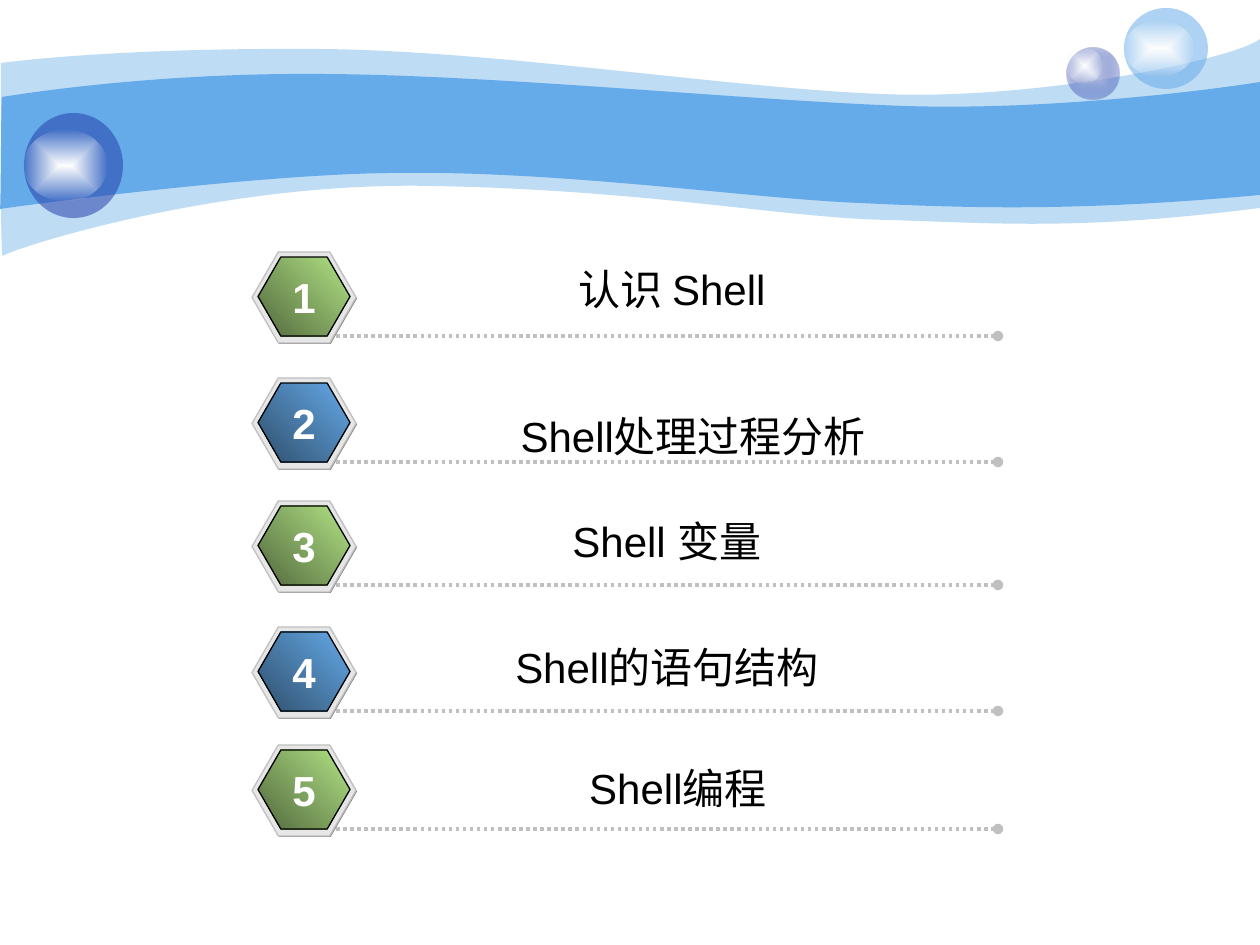
import pptx
import pptx.util
import pptx.dml.color
import pptx.enum.dml
import pptx.enum.shapes
import pptx.enum.text
import pptx.oxml
import pptx.oxml.ns

RGBColor = pptx.dml.color.RGBColor
SHAPE = pptx.enum.shapes.MSO_SHAPE
qn = pptx.oxml.ns.qn

PX = 914400 / 126
SKY = RGBColor(0x65, 0xAA, 0xE9)
NAVY = RGBColor(0x23, 0x3D, 0xA9)
LAVENDER = RGBColor(0xC7, 0xCE, 0xE9)
GREEN = RGBColor(0xB2, 0xE3, 0x85)
DARK_GREEN = RGBColor(0x52, 0x69, 0x3E)
DARK_BLUE = RGBColor(0x2F, 0x4F, 0x6C)
WHITE = RGBColor(0xFF, 0xFF, 0xFF)
BLACK = RGBColor(0, 0, 0)
SHADE = RGBColor(0x80, 0x80, 0x80)
RIM = RGBColor(0xE6, 0xE6, 0xE6)
SILVER = RGBColor(0xC0, 0xC0, 0xC0)

RADIAL = ('<a:path path="rect"><a:fillToRect l="50000" t="50000" '
          'r="50000" b="50000"/></a:path>')
DIAGONAL = '<a:lin ang="8100000" scaled="0"/>'

# Each wave: a start point, then curves (three points) and lines (one point)
LIGHT_WAVE = [
    [(1, 63)],
    [(32, 59), (136, 48), (311, 49)],
    [(486, 49), (726, 88), (881, 94)],
    [(1036, 101), (1235, 59), (1260, 39)],
    [(1260, 208)],
    [(1079, 231), (993, 223), (888, 220)],
    [(784, 218), (649, 190), (433, 186)],
    [(216, 181), (6, 251), (3, 256)],
    [(0, 262), (1, 94), (1, 63)],
]
DARK_WAVE = [
    [(2, 97)],
    [(4, 97), (140, 73), (314, 74)],
    [(488, 74), (752, 101), (905, 106)],
    [(1060, 111), (1230, 87), (1260, 82)],
    [(1260, 195)],
    [(1075, 212), (965, 208), (859, 203)],
    [(755, 199), (564, 171), (401, 173)],
    [(257, 173), (-1, 209), (0, 209)],
    [(1, 209), (1, 97), (2, 97)],
]

# Row top, title left, title drop below the row top, title
ROWS = [
    (252, 368, 5, "认识 Shell "),
    (378, 388, 26, "Shell处理过程分析 "),
    (501, 357, 8, "Shell 变量"),
    (627, 357, 8, "Shell的语句结构"),
    (745, 368, 11, "Shell编程"),
]


def emu(*lengths):
    return [pptx.util.Emu(round(length * PX)) for length in lengths]


def drawing_xml(tag, attributes="", content=""):
    return pptx.oxml.parse_xml(
        f'<a:{tag} xmlns:a="{pptx.oxml.ns.nsuri("a")}" {attributes}>{content}</a:{tag}>')


def paint(shape, color, alpha=100):
    shape.shadow.inherit = False
    shape.line.fill.background()
    shape.fill.solid()
    shape.fill.fore_color.rgb = color
    if alpha < 100:
        tint = shape.element.spPr.find(qn("a:solidFill"))[0]
        tint.append(drawing_xml("alpha", f'val="{alpha * 1000}"'))


def paint_gradient(shape, inner, outer, outer_alpha, direction):
    paint(shape, inner)
    properties = shape.element.spPr
    stops = (f'<a:gsLst><a:gs pos="0"><a:srgbClr val="{inner}"/></a:gs>'
             f'<a:gs pos="100000"><a:srgbClr val="{outer}">'
             f'<a:alpha val="{outer_alpha * 1000}"/></a:srgbClr></a:gs></a:gsLst>')
    properties.replace(properties.find(qn("a:solidFill")),
                       drawing_xml("gradFill", 'rotWithShape="1"', stops + direction))


def outline(shape, color):
    shape.line.color.rgb = color
    shape.line.width = pptx.util.Pt(0.75)


def add_wave(page, segments, color, alpha=100):
    """Lay every point as a line, then join each group of three into a curve."""
    builder = page.shapes.build_freeform(*emu(*segments[0][0]), scale=1.0)
    builder.add_line_segments(
        [emu(*point) for segment in segments[1:] for point in segment], close=True)
    wave = builder.convert_to_shape()
    lines = iter(list(wave.element.iter(qn("a:lnTo"))))
    for segment in segments[1:]:
        group = [next(lines) for _ in segment]
        if len(group) == 3:
            curve = drawing_xml("cubicBezTo")
            group[0].addprevious(curve)
            for line in group:
                curve.append(line[0])
                line.getparent().remove(line)
    paint(wave, color, alpha)


def add_sphere(page, ball_box, glow_box, color, alpha, edge=None):
    ball = page.shapes.add_shape(SHAPE.OVAL, *emu(*ball_box))
    if edge:
        paint_gradient(ball, color, edge, alpha, RADIAL)
    else:
        paint(ball, color, alpha)
    glow = page.shapes.add_shape(SHAPE.OVAL, *emu(*glow_box))
    paint_gradient(glow, WHITE, WHITE, 0, RADIAL)


def add_hexagon(page, *box):
    hexagon = page.shapes.add_shape(SHAPE.HEXAGON, *emu(*box))
    hexagon.adjustments[0] = 0.289
    hexagon.adjustments[1] = 1.155
    return hexagon


def add_badge(page, left, top, light, dark):
    paint(add_hexagon(page, left + 1, top + 1, 104, 91), SHADE)
    rim = add_hexagon(page, left, top, 104, 91)
    paint(rim, RIM)
    outline(rim, SILVER)
    face = add_hexagon(page, left + 6, top + 5, 92, 79)
    paint_gradient(face, light, dark, 100, DIAGONAL)
    outline(face, BLACK)


def add_label(page, box, text, color, bold=False, wrap=True):
    frame = page.shapes.add_textbox(*emu(*box)).text_frame
    frame.word_wrap = wrap
    frame.auto_size = pptx.enum.text.MSO_AUTO_SIZE.SHAPE_TO_FIT_TEXT
    para = frame.paragraphs[0]
    para.alignment = pptx.enum.text.PP_ALIGN.CENTER
    span = para.add_run()
    span.text = text
    span.font.name = "Arial"
    span.font.size = pptx.util.Pt(24)
    span.font.bold = bold
    span.font.color.rgb = color


def add_dotted_rule(page, left, top, width):
    rule = page.shapes.add_connector(pptx.enum.shapes.MSO_CONNECTOR.STRAIGHT,
                                     *emu(left, top, left + width, top))
    rule.line.color.rgb = SILVER
    rule.line.width = pptx.util.Pt(2)
    rule.line.dash_style = pptx.enum.dml.MSO_LINE.ROUND_DOT
    properties = rule.element.spPr
    properties.find(qn("a:ln")).append(drawing_xml("tailEnd", 'type="oval"'))
    properties.append(drawing_xml("effectLst"))


def add_banner(page):
    add_wave(page, LIGHT_WAVE, SKY, 41)
    add_wave(page, DARK_WAVE, SKY)
    add_sphere(page, (1067, 48, 53, 51), (1067, 48, 36, 35), LAVENDER, 31, NAVY)
    add_sphere(page, (1124, 8, 84, 81), (1124, 21, 70, 55), SKY, 53)
    add_sphere(page, (24, 113, 99, 105), (24, 130, 83, 71), NAVY, 53)


def add_row(page, left, top, number, title_left, title_drop, title):
    colors = (GREEN, DARK_GREEN) if number % 2 else (SKY, DARK_BLUE)
    add_badge(page, left, top, *colors)
    add_dotted_rule(page, left + 84, top + 84, 662)
    add_label(page, (title_left, top + title_drop, 620, 63), title, BLACK)
    add_label(page, (left + 28, top + 13, 48, 63), str(number), WHITE, True, False)


def main():
    deck = pptx.Presentation()
    deck.slide_width, deck.slide_height = emu(1260, 945)
    page = deck.slides.add_slide(deck.slide_layouts[6])
    add_banner(page)
    for number, (top, title_left, title_drop, title) in enumerate(ROWS, 1):
        add_row(page, 252, top, number, title_left, title_drop, title)
    deck.save("out.pptx")


if __name__ == "__main__":
    main()
